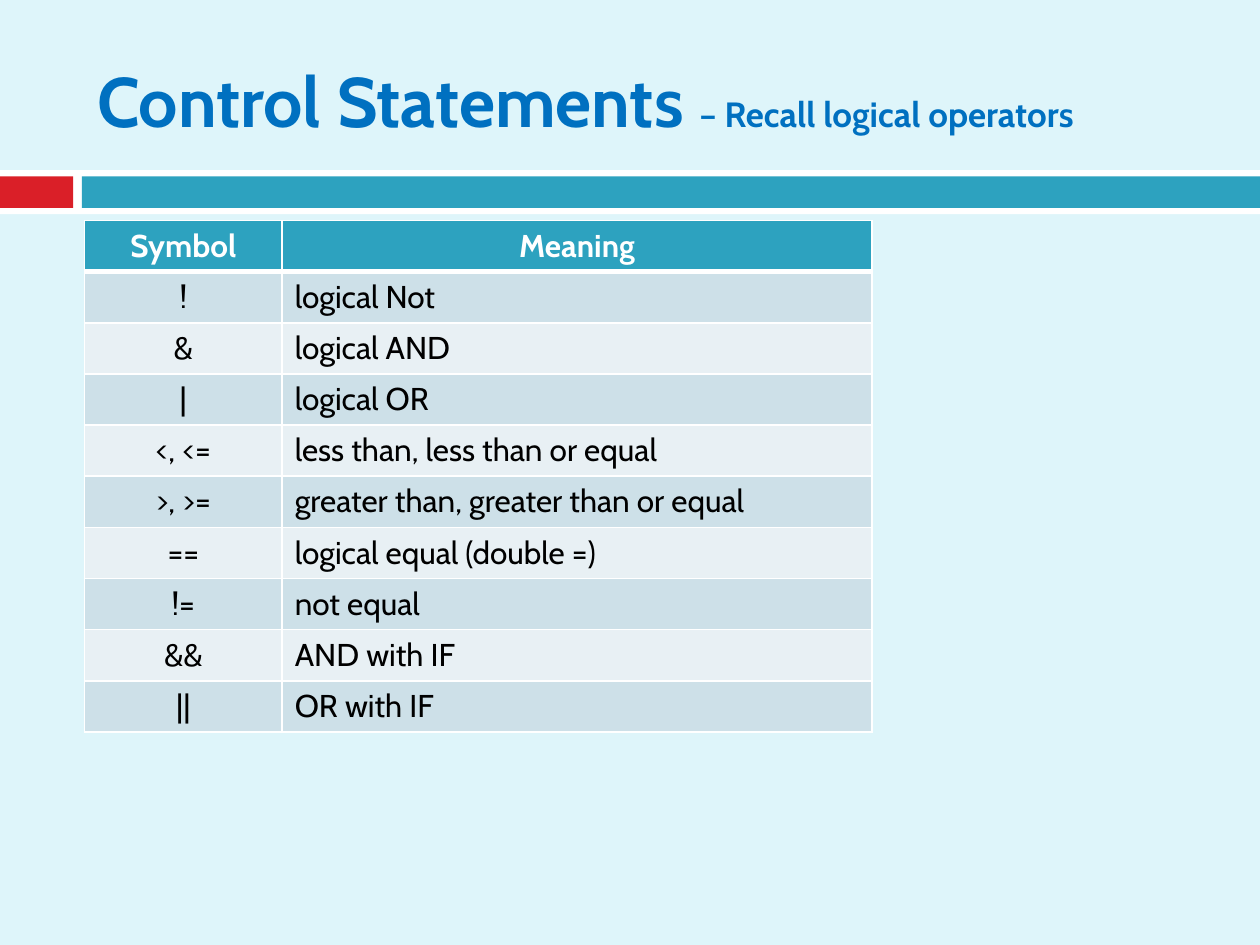
import pptx
import pptx.util
import pptx.dml.color
import pptx.enum.shapes
import pptx.enum.text
import pptx.oxml
import pptx.oxml.ns

Inches = pptx.util.Inches
ALIGN = pptx.enum.text.PP_ALIGN

# Content
TITLE = [("Control Statements ", "title"), ("– Recall logical operators", "sub")]
ROWS = [
    ("Symbol", "Meaning"),
    ("!", "logical Not"),
    ("&", "logical AND"),
    ("|", "logical OR"),
    ("<, <=", "less than, less than or equal"),
    (">, >=", "greater than, greater than or equal"),
    ("==", "logical equal (double =)"),
    ("!=", "not equal"),
    ("&&", "AND with IF"),
    ("||", "OR with IF"),
]
COLS = (1.57, 4.68)
ROW_H = 0.406
BARS = [  # left, top, width, height, colour
    (0, 1.35, 10, 0.35, "white"),
    (0, 1.4, 0.58, 0.25, "red"),
    (0.65, 1.4, 9.35, 0.25, "teal"),
]

THEME = {
    "font": "Cabin",
    "color": {
        "back": "DEF5FA", "white": "FFFFFF", "red": "DA1F28", "teal": "2DA2BF",
        "blue": "0070C0", "black": "000000", "odd": "CDE0E8", "even": "E8F0F4",
    },
    "size": {"title": 40, "sub": 20, "cell": 18},
}


def paint(fill, name):
    fill.solid()
    fill.fore_color.rgb = pptx.dml.color.RGBColor.from_string(THEME["color"][name])


def style(font, size, color, bold):
    font.name = THEME["font"]
    font.size = pptx.util.Pt(THEME["size"][size])
    font.bold = bold
    paint(font.fill, color)


def border(cell, widths):
    """Draw white cell borders; widths maps each side to points."""
    props = cell._tc.get_or_add_tcPr()
    for spot, (side, width) in enumerate(widths.items()):
        props.insert(spot, pptx.oxml.parse_xml(
            f'<a:ln{side} {pptx.oxml.ns.nsdecls("a")} w="{pptx.util.Pt(width)}">'
            f'<a:solidFill><a:srgbClr val="{THEME["color"]["white"]}"/></a:solidFill>'
            f'</a:ln{side}>'))


def add_bars(slide):
    for left, top, width, height, color in BARS:
        bar = slide.shapes.add_shape(
            pptx.enum.shapes.MSO_SHAPE.RECTANGLE,
            Inches(left), Inches(top), Inches(width), Inches(height))
        bar.shadow.inherit = False
        bar.line.fill.background()
        paint(bar.fill, color)


def add_title(slide):
    title = slide.shapes.title
    title.left, title.top = Inches(0.67), Inches(0.25)
    title.width, title.height = Inches(8.92), Inches(1.08)
    frame = title.text_frame
    frame.word_wrap = True
    frame.auto_size = pptx.enum.text.MSO_AUTO_SIZE.NONE
    frame.vertical_anchor = pptx.enum.text.MSO_ANCHOR.MIDDLE
    para = frame.paragraphs[0]
    para.alignment = ALIGN.LEFT
    for text, size in TITLE:
        run = para.add_run()
        run.text = text
        style(run.font, size, "blue", True)


def add_grid(slide):
    table = slide.shapes.add_table(
        len(ROWS), len(COLS), Inches(0.67), Inches(1.75),
        Inches(sum(COLS)), Inches(ROW_H * len(ROWS))).table
    for col, width in zip(table.columns, COLS):
        col.width = Inches(width)
    for r, texts in enumerate(ROWS):
        table.rows[r].height = Inches(ROW_H)
        head = r == 0
        for c, text in enumerate(texts):
            cell = table.cell(r, c)
            cell.text = text
            para = cell.text_frame.paragraphs[0]
            para.alignment = ALIGN.CENTER if head or c == 0 else ALIGN.LEFT
            style(para.font, "cell", "white" if head else "black", head)
            paint(cell.fill, "teal" if head else "odd" if r % 2 else "even")
            border(cell, {"L": 1, "R": 1, "T": 3 if r == 1 else 1,
                          "B": 3 if head else 1})


def main():
    deck = pptx.Presentation()
    deck.slide_width, deck.slide_height = Inches(10), Inches(7.5)
    slide = deck.slides.add_slide(deck.slide_layouts.get_by_name("Title Only"))
    paint(slide.background.fill, "back")
    add_bars(slide)
    add_title(slide)
    add_grid(slide)
    deck.save("out.pptx")


if __name__ == "__main__":
    main()
